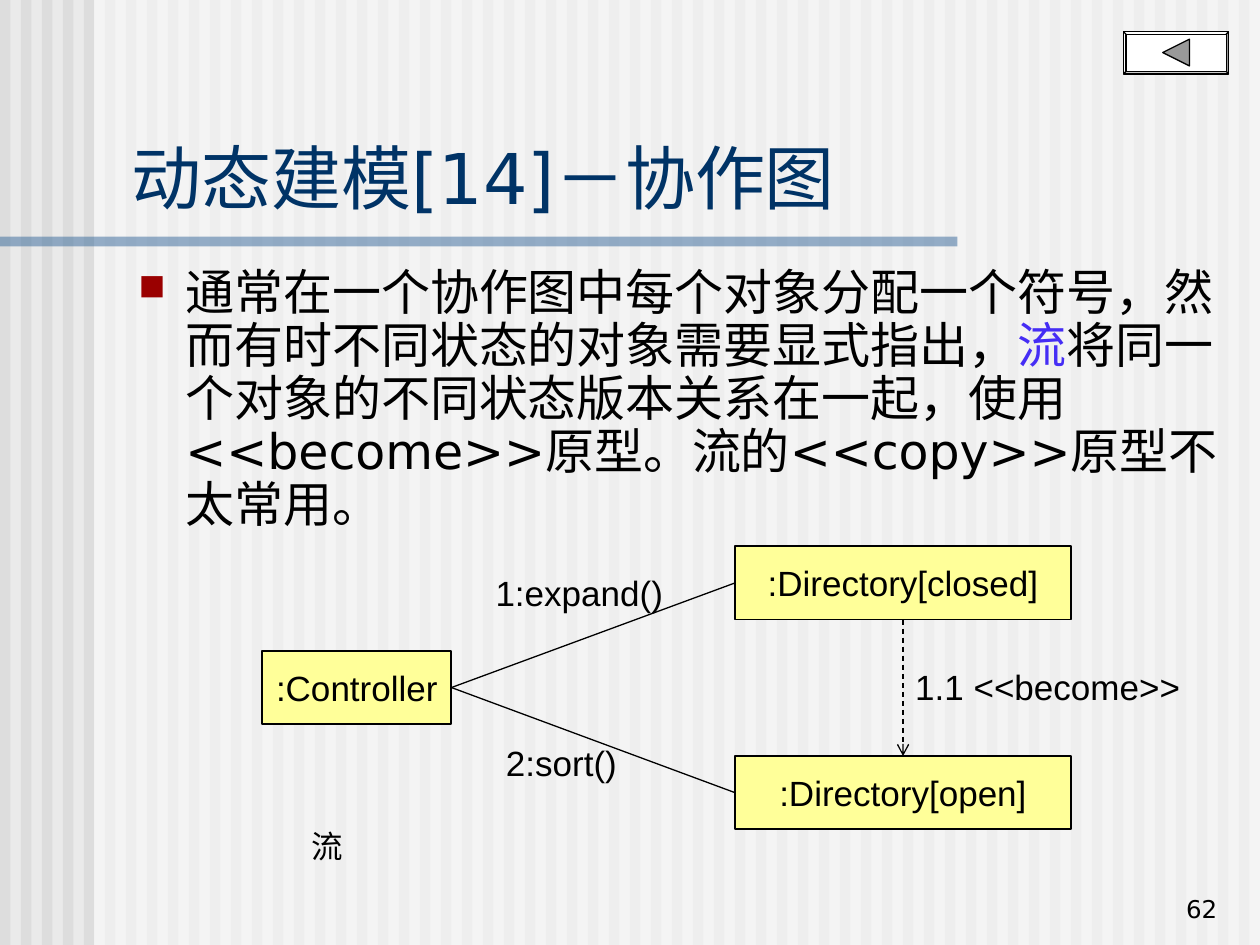
import dataclasses

import lxml.etree
import pptx
import pptx.dml.color
import pptx.enum.dml
import pptx.enum.shapes
import pptx.enum.text
import pptx.oxml.ns
import pptx.util

Cm, Pt = pptx.util.Cm, pptx.util.Pt
Align = pptx.enum.text.PP_ALIGN
Anchor = pptx.enum.text.MSO_ANCHOR
Kind = pptx.enum.shapes.MSO_SHAPE
qn = pptx.oxml.ns.qn

WIDE, HIGH = 25.4, 19.05
SANS, ARIAL = "DejaVu Sans", "Arial"
BLACK, WHITE = "000000", "FFFFFF"


@dataclasses.dataclass
class Box:
    """A place on the slide in centimetres, with its text."""
    x: float
    y: float
    w: float
    h: float
    text: str = ""

    def place(self) -> list:
        return [Cm(v) for v in (self.x, self.y, self.w, self.h)]


def paint(form, color: str) -> None:
    """Colour a fill or a font from a hex string."""
    if hasattr(form, "solid"):
        form.solid()
        form = form.fore_color
    else:
        form = form.color
    form.rgb = pptx.dml.color.RGBColor.from_string(color)


def apply(thing, values: dict) -> None:
    for name, value in values.items():
        setattr(thing, name, value)


def add_tag(parent, tag: str, **attrs: str):
    return lxml.etree.SubElement(parent, qn(tag), attrs)


def style(shape, fill: str, line: float = 0, alpha: int = 100) -> None:
    """Give a shape a flat fill and, with a width, a black outline."""
    shape.shadow.inherit = False
    paint(shape.fill, fill)
    if alpha < 100:
        tone = shape.fill._xPr.find(".//" + qn("a:srgbClr"))
        add_tag(tone, "a:alpha", val=str(alpha * 1000))
    if line:
        paint(shape.line.fill, BLACK)
        shape.line.width = Pt(line)
    else:
        shape.line.fill.background()


def add_block(slide, box: Box, fill: str, line: float = 0, alpha: int = 100,
              kind=Kind.RECTANGLE):
    shape = slide.shapes.add_shape(kind, *box.place())
    style(shape, fill, line, alpha)
    return shape


def add_run(para, text: str, size: float, face: str, color: str) -> None:
    run = para.add_run()
    run.text = text
    apply(run.font, {"size": Pt(size), "name": face})
    paint(run.font, color)
    add_tag(run.font._element, "a:ea", typeface=face)


def write(shape, text: str, size: float, face: str = ARIAL, color: str = BLACK,
          align=Align.LEFT, anchor=Anchor.TOP, wrap: bool = True):
    frame = shape.text_frame
    apply(frame, {"word_wrap": wrap, "vertical_anchor": anchor})
    para = frame.paragraphs[0]
    para.alignment = align
    if text:
        add_run(para, text, size, face, color)
    return para


def add_text(slide, box: Box, size: float, **form):
    return write(slide.shapes.add_textbox(*box.place()), box.text, size, **form)


def add_node(slide, box: Box) -> None:
    write(add_block(slide, box, "FFFF99", 1), box.text, 20, align=Align.CENTER,
          anchor=Anchor.MIDDLE, wrap=False)


def add_link(slide, x1: float, y1: float, x2: float, y2: float,
             arrow: bool = False) -> None:
    link = slide.shapes.add_connector(
        pptx.enum.shapes.MSO_CONNECTOR.STRAIGHT, Cm(x1), Cm(y1), Cm(x2), Cm(y2))
    paint(link.line.fill, BLACK)
    link.line.width = Pt(0.75)
    if arrow:
        link.line.dash_style = pptx.enum.dml.MSO_LINE.DASH
        add_tag(link.line._get_or_add_ln(), "a:tailEnd", type="arrow")
    add_tag(link._element.spPr, "a:effectLst")


def add_back(slide) -> None:
    """The striped backdrop, the pale veil and the title bar."""
    paint(slide.background.fill, "EAEAEA")
    count = 60
    for i in range(count):
        add_block(slide, Box(i * WIDE / count, 0, 0.21, HIGH), "DDDDDD")
    add_block(slide, Box(1.9, 0, WIDE - 1.9, HIGH), WHITE, alpha=50)
    add_block(slide, Box(0, 4.77, 19.3, 0.2), "336699", alpha=50)


def add_body(slide) -> None:
    para = add_text(slide, Box(2.54, 5.28, 22.53, 6.15), 28)
    props = para._p.get_or_add_pPr()
    apply_indent = {"marL": Cm(0.95), "indent": Cm(-0.95)}
    for name, value in apply_indent.items():
        props.set(name, str(value))
    add_tag(add_tag(props, "a:buClr"), "a:srgbClr", val="9A0000")
    add_tag(props, "a:buSzPct", val="75000")
    add_tag(props, "a:buChar", char="■")
    para.line_spacing = 0.9
    for text, color in (
        ("通常在一个协作图中每个对象分配一个符号，然而有时不同状态的对象需要显式指出，", BLACK),
        ("流", "452DF5"),
        ("将同一个对象的不同状态版本关系在一起，使用<<become>>原型。"
         "流的<<copy>>原型不太常用。", BLACK),
    ):
        add_run(para, text, 28, SANS, color)


def add_graph(slide) -> None:
    """Three objects, their links and the message labels."""
    control = Box(5.29, 13.12, 3.81, 1.48, ":Controller")
    closed = Box(14.82, 11.01, 6.77, 1.48, ":Directory[closed]")
    opened = Box(14.82, 15.24, 6.77, 1.48, ":Directory[open]")
    for node in (control, closed, opened):
        add_node(slide, node)
    for node in (closed, opened):
        add_link(slide, control.x + control.w, control.y + control.h / 2,
                 node.x, node.y + node.h / 2)
    mid = closed.x + closed.w / 2
    add_link(slide, mid, closed.y + closed.h, mid, opened.y, arrow=True)
    for label in (
        Box(9.74, 11.39, 4.23, 1.11, "1:expand()"),
        Box(9.95, 14.82, 4.23, 1.11, "2:sort()"),
        Box(18.2, 13.29, 6.14, 1.11, "1.1 <<become>>"),
    ):
        add_text(slide, label, 20)
    add_text(slide, Box(5.11, 16.54, 2.97, 1.02, "流"), 18, align=Align.CENTER)


def add_button(slide) -> None:
    """The framed back button."""
    frame = add_block(slide, Box(22.65, 0.64, 2.12, 0.85), WHITE, 0.75,
                      kind=Kind.BEVEL)
    frame.adjustments[0] = 0.06
    pen = slide.shapes.build_freeform(Cm(23.44), Cm(1.06))
    pen.add_line_segments([(Cm(23.98), Cm(0.79)), (Cm(23.98), Cm(1.33))])
    style(pen.convert_to_shape(), "999999", 0.75)


def main() -> None:
    deck = pptx.Presentation()
    apply(deck, {"slide_width": Cm(WIDE), "slide_height": Cm(HIGH)})
    slide = deck.slides.add_slide(deck.slide_layouts[6])
    add_back(slide)
    add_text(slide, Box(2.41, 2.57, 22.68, 1.96, "动态建模[14]－协作图"), 40,
             face=SANS, color="003366", anchor=Anchor.BOTTOM)
    add_body(slide)
    add_graph(slide)
    add_button(slide)
    add_text(slide, Box(19.51, 17.47, 5.28, 1.27, "62"), 14, face=SANS,
             align=Align.RIGHT, anchor=Anchor.BOTTOM)
    deck.save("out.pptx")


if __name__ == "__main__":
    main()
